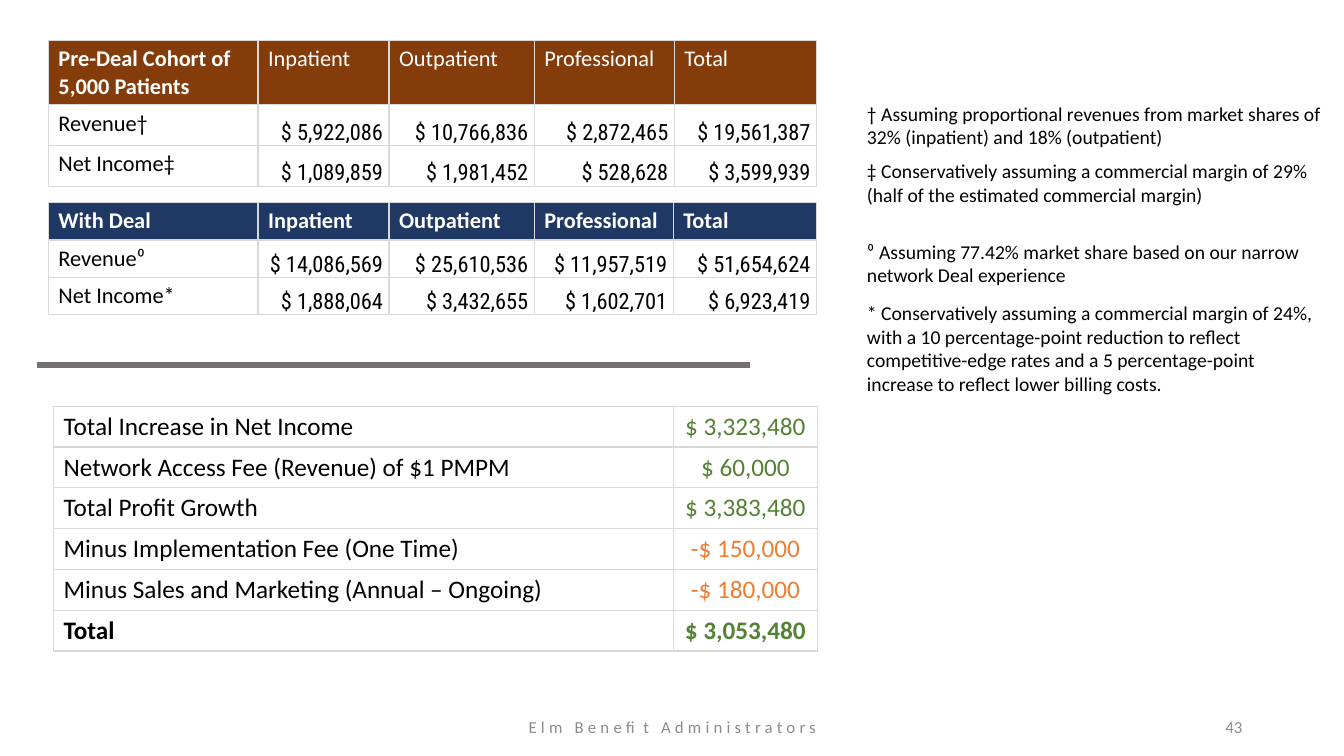
from lxml import etree
from pptx import Presentation
from pptx.dml.color import RGBColor
from pptx.enum.shapes import MSO_CONNECTOR
from pptx.enum.text import MSO_ANCHOR, MSO_AUTO_SIZE, PP_ALIGN
from pptx.oxml.ns import qn
from pptx.util import Inches, Pt

LEFT, CENTER, RIGHT = PP_ALIGN.LEFT, PP_ALIGN.CENTER, PP_ALIGN.RIGHT
TOP, MIDDLE, BOTTOM = MSO_ANCHOR.TOP, MSO_ANCHOR.MIDDLE, MSO_ANCHOR.BOTTOM
STRAIGHT = MSO_CONNECTOR.STRAIGHT
FIT_SHAPE = MSO_AUTO_SIZE.SHAPE_TO_FIT_TEXT

SLIDE_W, SLIDE_H = Inches(13.33), Inches(7.5)
BODY_FONT, FIGURE_FONT = "Calibri", "Roboto Condensed"
COLORS = {
    "text": "000000",
    "header_text": "FFFFFF",
    "before": "843C0B",
    "after": "203864",
    "gain": "548235",
    "cost": "ED7D31",
    "grid": "D9D9D9",
    "divider": "767171",
    "footer": "8C8C8C",
}

SERVICES = ["Inpatient", "Outpatient", "Professional", "Total"]
BEFORE_ROWS = [
    ["Revenue†", "$ 5,922,086", "$ 10,766,836", "$ 2,872,465", "$ 19,561,387"],
    ["Net Income‡", "$ 1,089,859", "$ 1,981,452", "$ 528,628", "$ 3,599,939"],
]
AFTER_ROWS = [
    ["Revenue⁰", "$ 14,086,569", "$ 25,610,536", "$ 11,957,519", "$ 51,654,624"],
    ["Net Income*", "$ 1,888,064", "$ 3,432,655", "$ 1,602,701", "$ 6,923,419"],
]
SUMMARY_ROWS = [
    ("Total Increase in Net Income", "$ 3,323,480", "gain"),
    ("Network Access Fee (Revenue) of $1 PMPM", "$ 60,000", "gain"),
    ("Total Profit Growth", "$ 3,383,480", "gain"),
    ("Minus Implementation Fee (One Time)", "-$ 150,000", "cost"),
    ("Minus Sales and Marketing (Annual – Ongoing)", "-$ 180,000", "cost"),
    ("Total", "$ 3,053,480", "gain"),
]
# Top and height in percent of the slide's height, then the note
FOOTNOTES = [
    (12.8, 7.6, "† Assuming proportional revenues from market shares of 32% "
                "(inpatient) and 18% (outpatient)"),
    (20.4, 7.6, "‡ Conservatively assuming a commercial margin of 29% "
                "(half of the estimated commercial margin)"),
    (31.07, 7.6, "⁰ Assuming 77.42% market share based on our narrow network "
                 "Deal experience"),
    (39.2, 13.87, "* Conservatively assuming a commercial margin of 24%, with a "
                  "10 percentage-point reduction to reflect competitive-edge rates "
                  "and a 5 percentage-point increase to reflect lower billing costs."),
]


def across(percent):
    return round(SLIDE_W * percent / 100)


def down(percent):
    return round(SLIDE_H * percent / 100)


def rgb(color):
    return RGBColor.from_string(COLORS[color])


def write(frame, text, size, color="text", align=LEFT, bold=False, font=BODY_FONT):
    paragraph = frame.paragraphs[0]
    paragraph.alignment = align
    run = paragraph.add_run()
    run.text = text
    run.font.name = font
    run.font.size = Pt(size)
    run.font.bold = bold
    run.font.color.rgb = rgb(color)
    return run


def add_text(slide, left, top, width, height, text, size, color="text",
             align=LEFT, anchor=TOP):
    box = slide.shapes.add_textbox(across(left), down(top), across(width), down(height))
    box.text_frame.word_wrap = True
    box.text_frame.vertical_anchor = anchor
    return box.text_frame, write(box.text_frame, text, size, color, align)


def outline_cell(cell):
    properties = cell._tc.get_or_add_tcPr()
    for side in ("lnL", "lnR", "lnT", "lnB"):
        border = etree.SubElement(properties, qn(f"a:{side}"), w=str(Pt(1)))
        fill = etree.SubElement(border, qn("a:solidFill"))
        etree.SubElement(fill, qn("a:srgbClr"), val=COLORS["grid"])


def add_grid(slide, left, top, columns, rows):
    """Add an outlined, unfilled table with sizes in percent of the slide."""
    table = slide.shapes.add_table(
        len(rows), len(columns), across(left), down(top),
        across(sum(columns)), down(sum(rows))).table
    table.first_row = table.horz_banding = False
    for column, width in zip(table.columns, columns):
        column.width = across(width)
    for row, height in zip(table.rows, rows):
        row.height = down(height)
    for cell in table.iter_cells():
        outline_cell(cell)
        cell.fill.background()
    return table


def add_income_table(slide, top, columns, rows, title, header_color,
                     bold_services, figures):
    table = add_grid(slide, 3.6, top, columns, rows)
    for index, heading in enumerate([title] + SERVICES):
        cell = table.cell(0, index)
        cell.fill.solid()
        cell.fill.fore_color.rgb = rgb(header_color)
        write(cell.text_frame, heading, 16, "header_text",
              bold=index == 0 or bold_services)
    for row, (label, *amounts) in enumerate(figures, 1):
        write(table.cell(row, 0).text_frame, label, 16)
        for column, amount in enumerate(amounts, 1):
            cell = table.cell(row, column)
            cell.vertical_anchor = BOTTOM
            cell.margin_left = cell.margin_top = Inches(0.01)
            cell.margin_right, cell.margin_bottom = Inches(0.06), 0
            write(cell.text_frame, amount, 16, align=RIGHT, font=FIGURE_FONT)


def add_summary_table(slide):
    table = add_grid(slide, 3.98, 53.73, [46.12, 10.73], [5.4] * len(SUMMARY_ROWS))
    for row, (label, amount, color) in enumerate(SUMMARY_ROWS):
        bold = row == len(SUMMARY_ROWS) - 1
        write(table.cell(row, 0).text_frame, label, 18, bold=bold)
        write(table.cell(row, 1).text_frame, amount, 18, color, CENTER, bold)


def add_divider(slide):
    divider = slide.shapes.add_connector(
        STRAIGHT, across(2.78), down(48.27), across(55.81), down(48.27))
    divider.line.color.rgb = rgb("divider")
    divider.line.width = Pt(4.5)
    etree.SubElement(divider._element.spPr, qn("a:effectLst"))


def add_footer(slide):
    _, company = add_text(slide, 33.16, 94.4, 33.76, 3.6, "Elm Benefit Administrators",
                          12, "footer", CENTER, MIDDLE)
    company._r.get_or_add_rPr().set("spc", "300")
    add_text(slide, 70.67, 94.4, 22.5, 3.6, "43", 12, "footer", RIGHT, MIDDLE)


def main():
    deck = Presentation()
    deck.slide_width, deck.slide_height = SLIDE_W, SLIDE_H
    slide = deck.slides.add_slide(deck.slide_layouts[6])
    add_footer(slide)
    add_income_table(slide, 5.33, [15.6, 9.75, 10.8, 10.43, 10.58], [8.53, 5.4, 5.4],
                     "Pre-Deal Cohort of 5,000 Patients", "before", False, BEFORE_ROWS)
    add_divider(slide)
    add_summary_table(slide)
    add_income_table(slide, 26.8, [15.6, 9.75, 10.8, 10.35, 10.65], [4.95] * 3,
                     "With Deal", "after", True, AFTER_ROWS)
    for top, height, note in FOOTNOTES:
        frame, _ = add_text(slide, 63.77, top, 35.41, height, note, 14)
        frame.auto_size = FIT_SHAPE
    deck.save("out.pptx")


if __name__ == "__main__":
    main()
